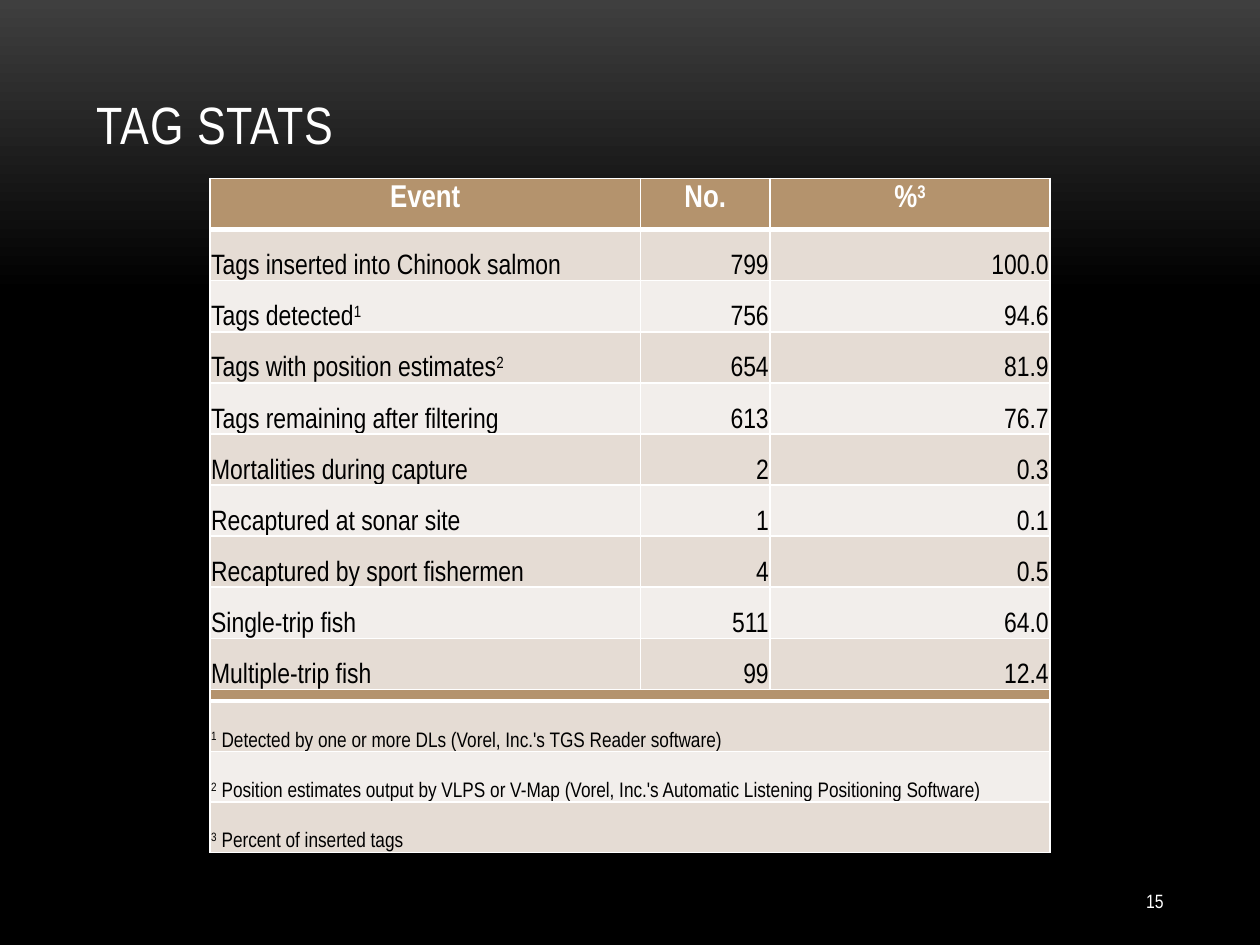
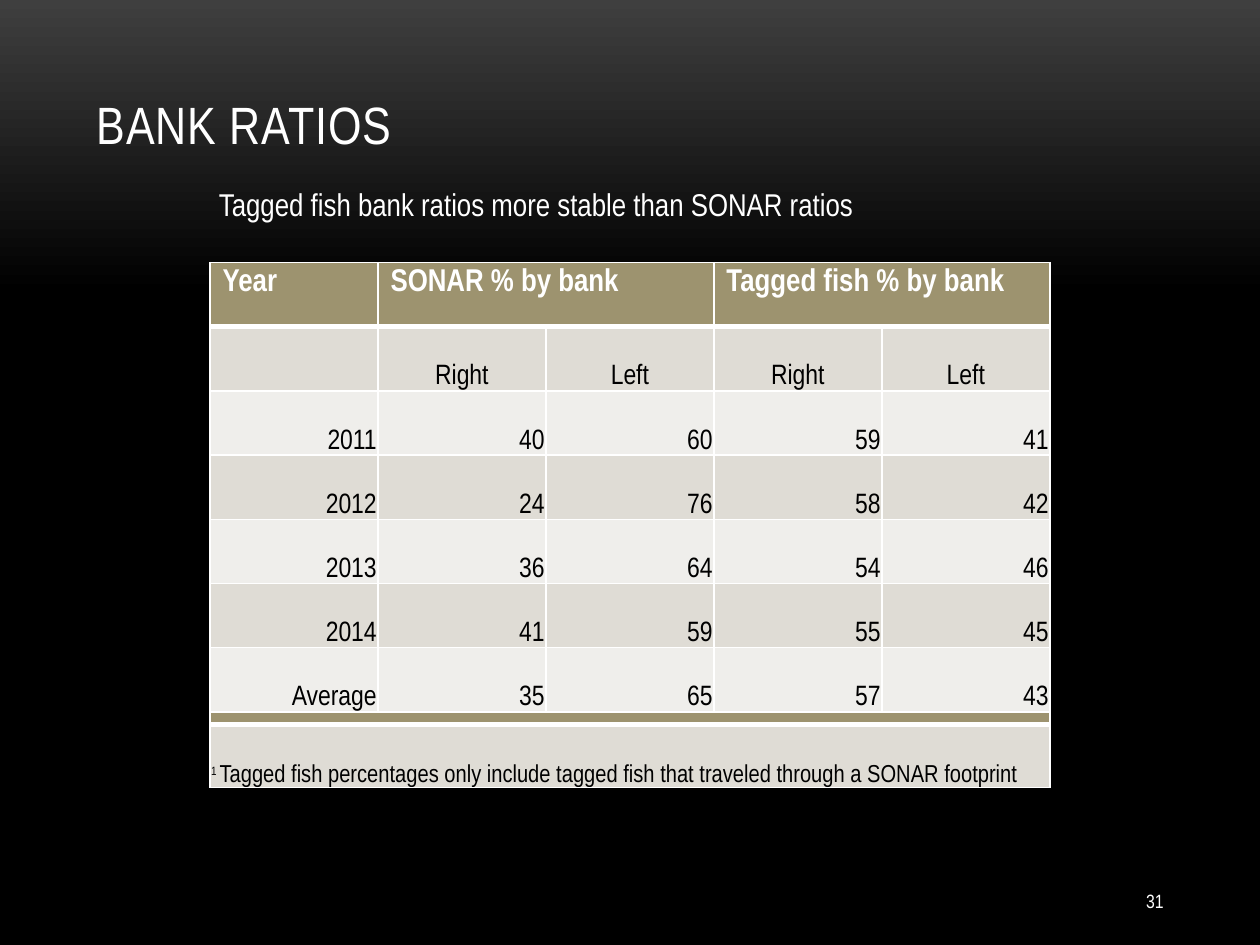
from copy import deepcopy
from dataclasses import dataclass

from lxml.etree import SubElement
from pptx import Presentation
from pptx.dml.color import RGBColor
from pptx.enum.text import MSO_ANCHOR, MSO_AUTO_SIZE, PP_ALIGN
from pptx.oxml.ns import qn
from pptx.util import Pt

LEFT, CENTER, RIGHT = PP_ALIGN.LEFT, PP_ALIGN.CENTER, PP_ALIGN.RIGHT


@dataclass(frozen=True)
class Palette:
    header: str
    dark_band: str
    light_band: str


@dataclass(frozen=True)
class Theme:
    font: str = "Arial Narrow"
    light: str = "FFFFFF"
    dark: str = "000000"
    glow: str = "3F3F3F"
    title: float = 30
    heading: float = 18
    body: float = 16
    blank: float = 14
    long_note: float = 14
    footnote: float = 12
    number: float = 11
    thin: float = 1
    thick: float = 3
    tan: Palette = Palette("B4936D", "E5DCD4", "F2EEEB")
    olive: Palette = Palette("9D936F", "DFDCD5", "EFEEEB")


THEME = Theme()
TABLE_LEFT, TABLE_WIDTH = 120, 480


def set_all(target, values):
    for name, value in values.items():
        setattr(target, name, value)


class Deck:
    def __init__(self, theme):
        self.theme = theme
        self.prs = Presentation()
        set_all(self.prs, {"slide_width": Pt(720), "slide_height": Pt(540)})
        self.slide = None
        self.paint_background()

    def paint_background(self):
        fill = self.prs.slide_master.background.fill
        fill.gradient()
        fill.gradient_angle = 270
        top, black = fill.gradient_stops
        for stop, color, position in ((top, self.theme.glow, 0),
                                      (black, self.theme.dark, 0.31)):
            stop.color.rgb = RGBColor.from_string(color)
            stop.position = position
        bottom = deepcopy(black._gs)
        bottom.set("pos", "100000")
        black._gs.addnext(bottom)

    def add_runs(self, paragraph, text, size, color, align=LEFT, bold=False, mark_size=None):
        """Add the text as runs; the parts between ^ signs are raised."""
        paragraph.alignment = align
        for index, part in enumerate(text.split("^")):
            if not part:
                continue
            raised = index % 2 == 1
            run = paragraph.add_run()
            run.text = part
            set_all(run.font, {"name": self.theme.font, "bold": bold,
                               "size": Pt(mark_size if raised and mark_size else size)})
            run.font.color.rgb = RGBColor.from_string(color)
            if raised:
                run.font._element.set("baseline", "30000")

    def add_slide(self, title, number):
        self.slide = self.prs.slides.add_slide(self.prs.slide_layouts[5])
        heading = self.slide.shapes.title
        set_all(heading, {"left": Pt(48), "top": Pt(2), "width": Pt(624), "height": Pt(90)})
        set_all(heading.text_frame, {"vertical_anchor": MSO_ANCHOR.BOTTOM, "word_wrap": True,
                                     "auto_size": MSO_AUTO_SIZE.NONE})
        paragraph = heading.text_frame.paragraphs[0]
        self.add_runs(paragraph, title, self.theme.title, self.theme.light)
        paragraph.runs[0].font._element.set("spc", "50")
        self.add_text(str(number), (594, 500.4, 78, 29), self.theme.number, RIGHT,
                      MSO_ANCHOR.MIDDLE)

    def add_text(self, text, box, size, align=LEFT, anchor=MSO_ANCHOR.TOP):
        frame = self.slide.shapes.add_textbox(*map(Pt, box)).text_frame
        set_all(frame, {"word_wrap": True, "vertical_anchor": anchor})
        self.add_runs(frame.paragraphs[0], text, size, self.theme.light, align)

    def add_grid(self, top, widths, heights, palette):
        """Add a table with a header row, banded rows and white rules."""
        grid = self.slide.shapes.add_table(
            len(heights), len(widths), Pt(TABLE_LEFT), Pt(top),
            Pt(sum(widths)), Pt(sum(heights))).table
        for column, width in zip(grid.columns, widths):
            column.width = Pt(width)
        for index, height in enumerate(heights):
            row = grid.rows[index]
            row.height = Pt(height)
            band = palette.dark_band if index % 2 else palette.light_band
            for cell in row.cells:
                self.rule_cell(cell, index)
                cell.fill.solid()
                cell.fill.fore_color.rgb = RGBColor.from_string(
                    band if index else palette.header)
        return grid

    def rule_cell(self, cell, row):
        thick_sides = {0: "lnB", 1: "lnT"}
        properties = cell._tc.get_or_add_tcPr()
        for side in ("lnL", "lnR", "lnT", "lnB"):
            width = self.theme.thick if thick_sides.get(row) == side else self.theme.thin
            line = SubElement(properties, qn(f"a:{side}"), w=str(Pt(width)))
            fill = SubElement(line, qn("a:solidFill"))
            SubElement(fill, qn("a:srgbClr"), val=self.theme.light)

    def fill_header(self, cell, text, align):
        self.add_runs(cell.text_frame.paragraphs[0], text, self.theme.heading,
                      self.theme.light, align, bold=True)

    def fill_body(self, cell, text, align=LEFT, size=None):
        if not text:
            self.leave_blank(cell)
            return
        set_all(cell, {"vertical_anchor": MSO_ANCHOR.BOTTOM, "margin_left": Pt(0.72),
                       "margin_right": Pt(0.72), "margin_top": Pt(0.72), "margin_bottom": 0})
        self.add_runs(cell.text_frame.paragraphs[0], text, size or self.theme.body,
                      self.theme.dark, align, mark_size=size and self.theme.footnote)

    def leave_blank(self, cell):
        end = SubElement(cell.text_frame.paragraphs[0]._p, qn("a:endParaRPr"),
                         sz=str(self.theme.blank * 100))
        SubElement(end, qn("a:latin"), typeface=self.theme.font)

    def add_footnotes(self, top, heights, notes, size, palette):
        grid = self.add_grid(top, [TABLE_WIDTH], heights, palette)
        self.leave_blank(grid.cell(0, 0))
        for row, note in enumerate(notes, 1):
            self.fill_body(grid.cell(row, 0), note, size=size)


TAG_EVENTS = [
    ("Tags inserted into Chinook salmon", "799", "100.0"),
    ("Tags detected^1", "756", "94.6"),
    ("Tags with position estimates^2", "654", "81.9"),
    ("Tags remaining after filtering", "613", "76.7"),
    ("Mortalities during capture", "2", "0.3"),
    ("Recaptured at sonar site", "1", "0.1"),
    ("Recaptured by sport fishermen", "4", "0.5"),
    ("Single-trip fish", "511", "64.0"),
    ("Multiple-trip fish", "99", "12.4"),
]
TAG_NOTES = [
    "^1^ Detected by one or more DLs (Vorel, Inc.'s TGS Reader software)",
    "^2^ Position estimates output by VLPS or V-Map "
    "(Vorel, Inc.'s Automatic Listening Positioning Software)",
    "^3^ Percent of inserted tags",
]
BANK_RATIOS = [
    ("", "Right", "Left", "Right", "Left"),
    ("2011", "40", "60", "59", "41"),
    ("2012", "24", "76", "58", "42"),
    ("2013", "36", "64", "54", "46"),
    ("2014", "41", "59", "55", "45"),
    ("Average", "35", "65", "57", "43"),
]
BANK_NOTES = ["^1 ^Tagged fish percentages only include tagged fish "
              "that traveled through a SONAR footprint"]


def build_tag_stats(deck):
    palette = deck.theme.tan
    deck.add_slide("TAG STATS", 15)
    deck.add_footnotes(376.6, [12] + [28.8] * 3, TAG_NOTES, deck.theme.footnote, palette)
    events = deck.add_grid(102, [246, 74, 160], [29.2] * (len(TAG_EVENTS) + 1), palette)
    for column, label in enumerate(("Event", "No.", "%^3")):
        deck.fill_header(events.cell(0, column), label, CENTER)
    for row, record in enumerate(TAG_EVENTS, 1):
        for column, text in enumerate(record):
            deck.fill_body(events.cell(row, column), text, RIGHT if column else LEFT)


def build_bank_ratios(deck):
    palette = deck.theme.olive
    deck.add_slide("BANK RATIOS", 31)
    deck.add_footnotes(378, [36, 36], BANK_NOTES, deck.theme.long_note, palette)
    ratios = deck.add_grid(150, [TABLE_WIDTH / 5] * 5, [36.7] * (len(BANK_RATIOS) + 1), palette)
    for column in (1, 3):
        ratios.cell(0, column).merge(ratios.cell(0, column + 1))
    for column, label in ((0, "Year"), (1, "SONAR % by bank"), (3, "Tagged fish % by bank")):
        deck.fill_header(ratios.cell(0, column), label, LEFT)
    for row, record in enumerate(BANK_RATIOS, 1):
        for column, text in enumerate(record):
            deck.fill_body(ratios.cell(row, column), text, CENTER if row == 1 else RIGHT)
    deck.add_text("Tagged fish bank ratios more stable than SONAR ratios",
                  (118, 102, 384, 29), deck.theme.heading)


def main():
    deck = Deck(THEME)
    build_tag_stats(deck)
    build_bank_ratios(deck)
    deck.prs.save("out.pptx")


if __name__ == "__main__":
    main()
